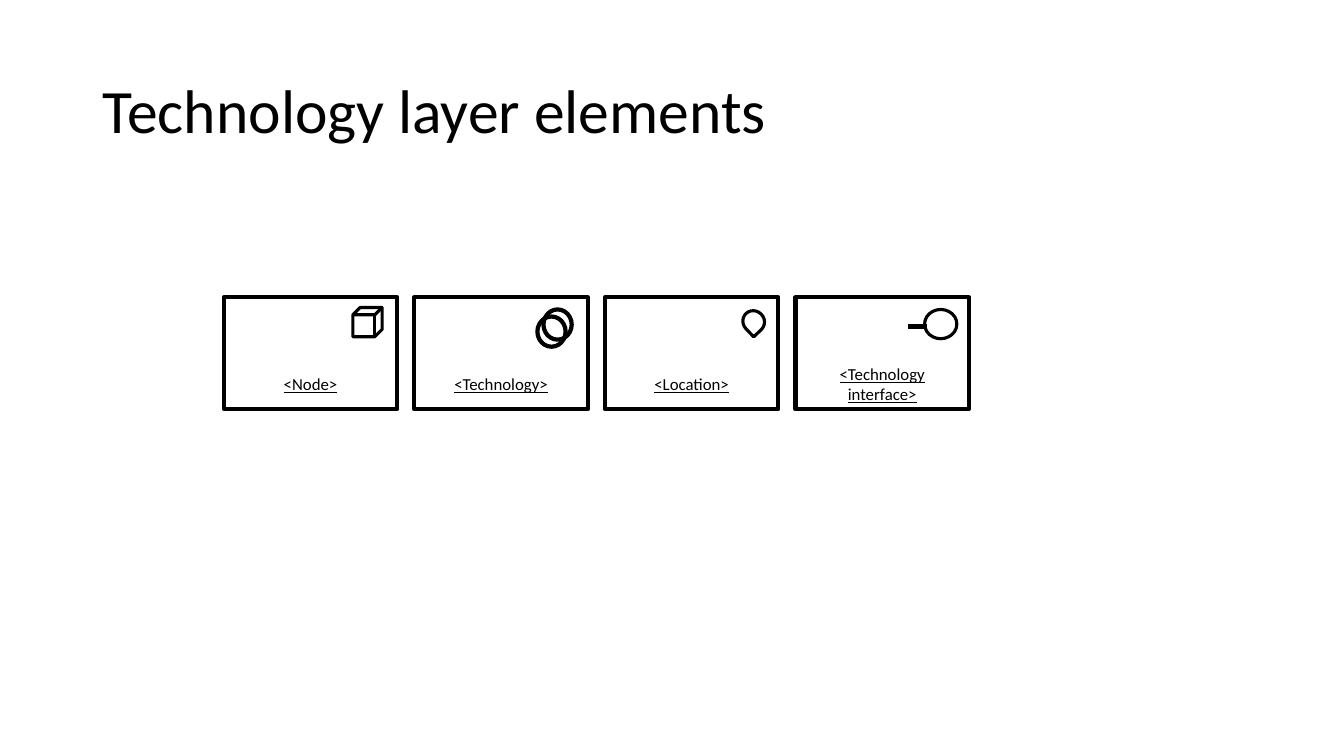
from lxml import etree
from pptx import Presentation
from pptx.dml.color import RGBColor
from pptx.enum.shapes import MSO_CONNECTOR as Conn, MSO_SHAPE as Shape
from pptx.enum.text import MSO_ANCHOR as Anchor, PP_ALIGN as Align
from pptx.oxml.ns import qn
from pptx.util import Inches, Pt

INK = "000000"
FONT = "Calibri"
CARD_W, CARD_H = 1.72, 1.11
PITCH = 1.89

# Label, then icon parts: shape, x, y, width, height, line width, rotation
CARDS = [
    ("<Node>", [(Shape.CUBE, 1.28, 0.1, 0.29, 0.29, 2.25, 0)]),
    ("<Technology>", [
        (Shape.FLOWCHART_CONNECTOR, 1.28, 0.12, 0.28, 0.3, 3, 0),
        (Shape.FLOWCHART_CONNECTOR, 1.22, 0.19, 0.28, 0.3, 3, 0),
    ]),
    ("<Location>", [(Shape.TEAR, 1.37, 0.13, 0.21, 0.22, 2.25, 136.1)]),
    ("<Technology interface>", [(Shape.OVAL, 1.28, 0.12, 0.32, 0.29, 2.25, 0)]),
]


def color(code):
    return RGBColor.from_string(code)


def style(para, size):
    font = para.font
    font.name = FONT
    font.size = Pt(size)
    font.color.rgb = color(INK)
    return font


def outline(slide, kind, x, y, w, h, width, turn=0):
    shape = slide.shapes.add_shape(kind, Inches(x), Inches(y), Inches(w), Inches(h))
    shape.shadow.inherit = False
    shape.fill.background()
    shape.line.color.rgb = color(INK)
    shape.line.width = Pt(width)
    shape.rotation = turn
    return shape


def add_title(slide, x, y, w, h):
    box = slide.shapes.add_textbox(Inches(x), Inches(y), Inches(w), Inches(h))
    frame = box.text_frame
    frame.word_wrap = True
    frame.vertical_anchor = Anchor.MIDDLE
    frame.text = "Technology layer elements"
    para = frame.paragraphs[0]
    para.line_spacing = 0.9
    style(para, 44)


def add_card(slide, x, y, label, icon):
    card = outline(slide, Shape.RECTANGLE, x, y, CARD_W, CARD_H, 3)
    # Label sits in the lower part, below the icon
    frame = card.text_frame
    frame.word_wrap = True
    frame.vertical_anchor = Anchor.MIDDLE
    frame.margin_top = Inches(0.61)
    frame.margin_bottom = 0
    frame.text = label
    para = frame.paragraphs[0]
    para.alignment = Align.CENTER
    style(para, 12).underline = True
    # Icon in the upper right corner
    for kind, dx, dy, w, h, width, turn in icon:
        outline(slide, kind, x + dx, y + dy, w, h, width, turn)


def add_stem(slide, x, y, w):
    stem = slide.shapes.add_connector(
        Conn.STRAIGHT, Inches(x), Inches(y), Inches(x + w), Inches(y))
    stem.line.color.rgb = color(INK)
    stem.line.width = Pt(3)
    etree.SubElement(stem._element.spPr, qn("a:effectLst"))


def add_row(slide, x, y):
    for col, (label, icon) in enumerate(CARDS):
        add_card(slide, x + col * PITCH, y, label, icon)
    # Stem of the interface icon on the last card
    last = x + (len(CARDS) - 1) * PITCH
    add_stem(slide, last + 1.12, y + 0.29, 0.18)


def main():
    deck = Presentation()
    deck.slide_width, deck.slide_height = Inches(13.33), Inches(7.5)
    slide = deck.slides.add_slide(deck.slide_layouts[6])
    add_title(slide, 0.92, 0.4, 11.5, 1.45)
    add_row(slide, 2.22, 2.95)
    deck.save("out.pptx")


if __name__ == "__main__":
    main()
